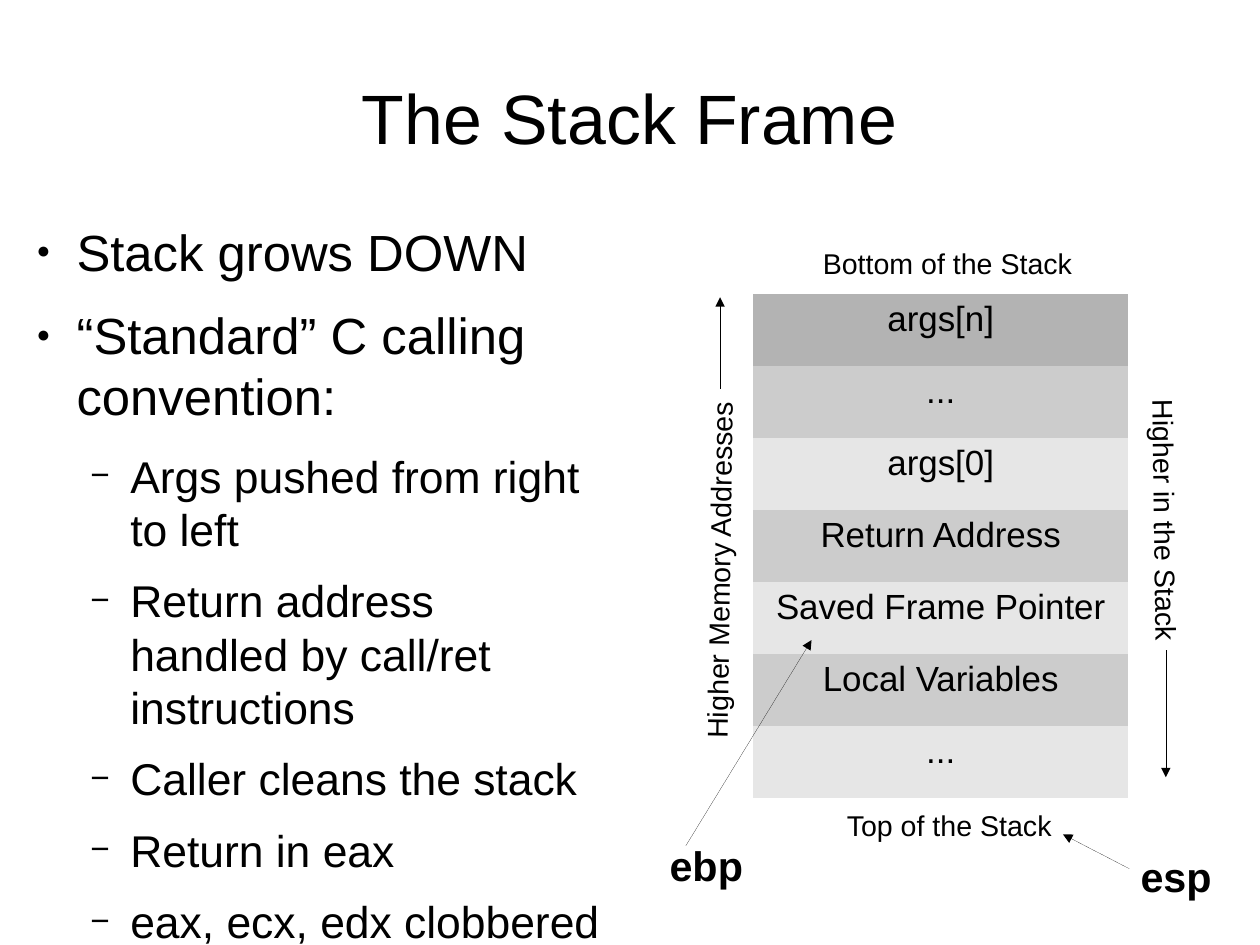
from dataclasses import dataclass

from lxml import etree
from pptx import Presentation, util as u
from pptx.dml.color import RGBColor
from pptx.enum import shapes, text
from pptx.oxml.ns import qn

SCALE = 9144  # EMU per px, 100 px to the inch
NO_GRID_STYLE = "{2D5ABB26-0587-4C30-8999-92F81FD0307C}"


@dataclass(frozen=True)
class Theme:
    font: str = "Arial"
    ink: str = "000000"
    dark: str = "B3B3B3"
    middle: str = "CCCCCC"
    light: str = "E6E6E6"
    title: int = 44
    bullet: int = 32
    dash: int = 28
    cell: int = 22
    label: int = 18
    register: int = 26


THEME = Theme()

BULLETS = [
    (0, "Stack grows DOWN"),
    (0, "“Standard” C calling convention:"),
    (1, "Args pushed from right to left"),
    (1, "Return address handled by call/ret instructions"),
    (1, "Caller cleans the stack"),
    (1, "Return in eax"),
    (1, "eax, ecx, edx clobbered"),
]
# Per level: character, size in percent, type size, space after, indent in px
LEVELS = [
    ("●", 45, THEME.bullet, 14.2, 47),
    ("−", 75, THEME.dash, 11.3, 94),
]
HANGING = 35

STACK_CELLS = ["args[n]", "...", "args[0]", "Return Address",
               "Saved Frame Pointer", "Local Variables", "..."]


def px(value):
    return u.Emu(value * SCALE)


def style(paragraph, size, bold=False):
    for run in paragraph.runs:
        run.font.name = THEME.font
        run.font.size = u.Pt(size)
        run.font.bold = bold
        run.font.color.rgb = RGBColor.from_string(THEME.ink)


def add_text(slide, box, inset=(10, 5), wrap=False):
    shape = slide.shapes.add_textbox(*map(px, box))
    frame = shape.text_frame
    frame.word_wrap = wrap
    frame.margin_left = frame.margin_right = px(inset[0])
    frame.margin_top = frame.margin_bottom = px(inset[1])
    return shape


def add_label(slide, box, wording, size=THEME.label, bold=False, rotation=0):
    shape = add_text(slide, box)
    shape.rotation = rotation
    shape.text_frame.auto_size = text.MSO_AUTO_SIZE.SHAPE_TO_FIT_TEXT
    shape.text_frame.text = wording
    style(shape.text_frame.paragraphs[0], size, bold)


def add_arrow(slide, start, end):
    arrow = slide.shapes.add_connector(
        shapes.MSO_CONNECTOR.STRAIGHT, *map(px, start + end))
    arrow.line.color.rgb = RGBColor.from_string(THEME.ink)
    properties = arrow._element.spPr
    # Hairline with an arrowhead, no shadow
    line = properties.find(qn("a:ln"))
    line.set("w", "0")
    etree.SubElement(line, qn("a:tailEnd"), type="triangle")
    etree.SubElement(properties, qn("a:effectLst"))


def add_title(slide, box):
    frame = add_text(slide, box, inset=(0, 0), wrap=True).text_frame
    frame.vertical_anchor = text.MSO_ANCHOR.MIDDLE
    frame.text = "The Stack Frame"
    frame.paragraphs[0].alignment = text.PP_ALIGN.CENTER
    style(frame.paragraphs[0], THEME.title)


def add_bullets(slide, box):
    frame = add_text(slide, box, inset=(0, 0), wrap=True).text_frame
    frame.text = "\n".join(wording for _, wording in BULLETS)
    for paragraph, (level, _) in zip(frame.paragraphs, BULLETS):
        character, percent, size, space_after, indent = LEVELS[level]
        paragraph.level = level
        paragraph.space_after = u.Pt(space_after)
        style(paragraph, size)
        # Bullet character and hanging indent
        properties = paragraph._p.get_or_add_pPr()
        properties.set("marL", str(px(indent)))
        properties.set("indent", str(px(-HANGING)))
        colour = etree.SubElement(properties, qn("a:buClr"))
        etree.SubElement(colour, qn("a:srgbClr"), val=THEME.ink)
        etree.SubElement(properties, qn("a:buSzPct"), val=str(percent * 1000))
        etree.SubElement(properties, qn("a:buFont"), typeface=THEME.font)
        etree.SubElement(properties, qn("a:buChar"), char=character)


def add_stack_table(slide, box):
    table = slide.shapes.add_table(len(STACK_CELLS), 1, *map(px, box)).table
    table.first_row = table.horz_banding = False
    table._tbl.tblPr.find(qn("a:tableStyleId")).text = NO_GRID_STYLE
    for index, wording in enumerate(STACK_CELLS):
        table.rows[index].height = px(box[3] // len(STACK_CELLS))
        cell = table.cell(index, 0)
        cell.margin_left = cell.margin_right = px(10)
        cell.margin_top = cell.margin_bottom = px(5)
        cell.text = wording
        cell.text_frame.paragraphs[0].alignment = text.PP_ALIGN.CENTER
        style(cell.text_frame.paragraphs[0], THEME.cell)
        shade = THEME.middle if index % 2 else THEME.light
        cell.fill.solid()
        cell.fill.fore_color.rgb = RGBColor.from_string(
            shade if index else THEME.dark)


def add_stack_diagram(slide, box):
    left, top, width, height = box
    right, bottom = left + width, top + height
    add_stack_table(slide, box)

    # Ends of the stack
    add_label(slide, (left + 51, top - 47, 259, 38), "Bottom of the Stack")
    add_label(slide, (left + 72, bottom + 4, 199, 38), "Top of the Stack")

    # Directions along both sides
    add_label(slide, (left - 190, top + 221, 318, 38),
              "Higher Memory Addresses", rotation=270.9)
    add_arrow(slide, (left - 29, top + 83), (left - 29, top + 3))
    add_label(slide, (right - 82, top + 179, 231, 38),
              "Higher in the Stack", rotation=89.2)
    add_arrow(slide, (right + 33, top + 312), (right + 33, top + 423))

    # Registers and what they point to
    add_label(slide, (left - 83, bottom + 32, 84, 50), "ebp", THEME.register, True)
    add_arrow(slide, (left - 59, bottom + 42), (left + 51, bottom - 138))
    add_label(slide, (right + 1, bottom + 42, 82, 50), "esp", THEME.register, True)
    add_arrow(slide, (right + 1, bottom + 62), (right - 57, bottom + 32))


def main():
    presentation = Presentation()
    presentation.slide_width = u.Cm(28)
    presentation.slide_height = u.Cm(21)
    slide = presentation.slides.add_slide(presentation.slide_layouts[6])
    add_title(slide, (55, 33, 992, 138))
    add_bullets(slide, (20, 193, 508, 607))
    add_stack_diagram(slide, (659, 257, 328, 441))
    presentation.save("out.pptx")


if __name__ == "__main__":
    main()
